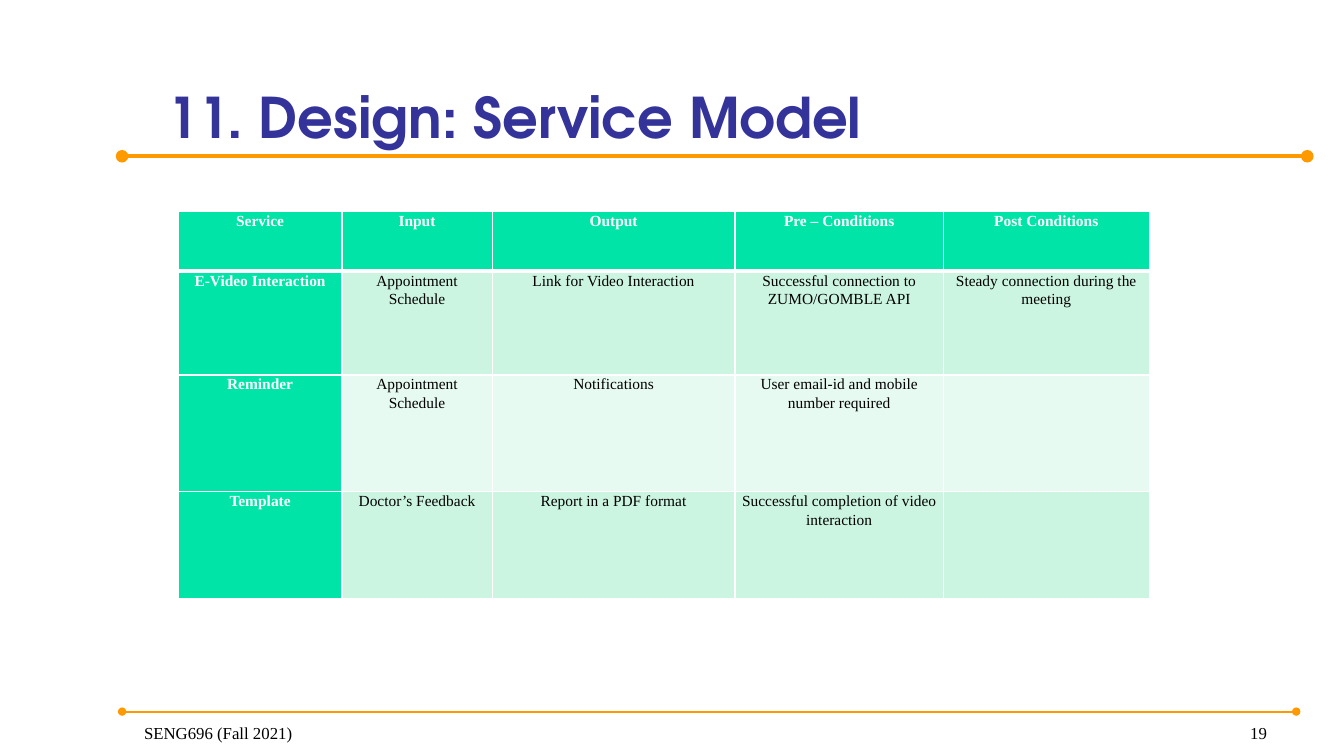
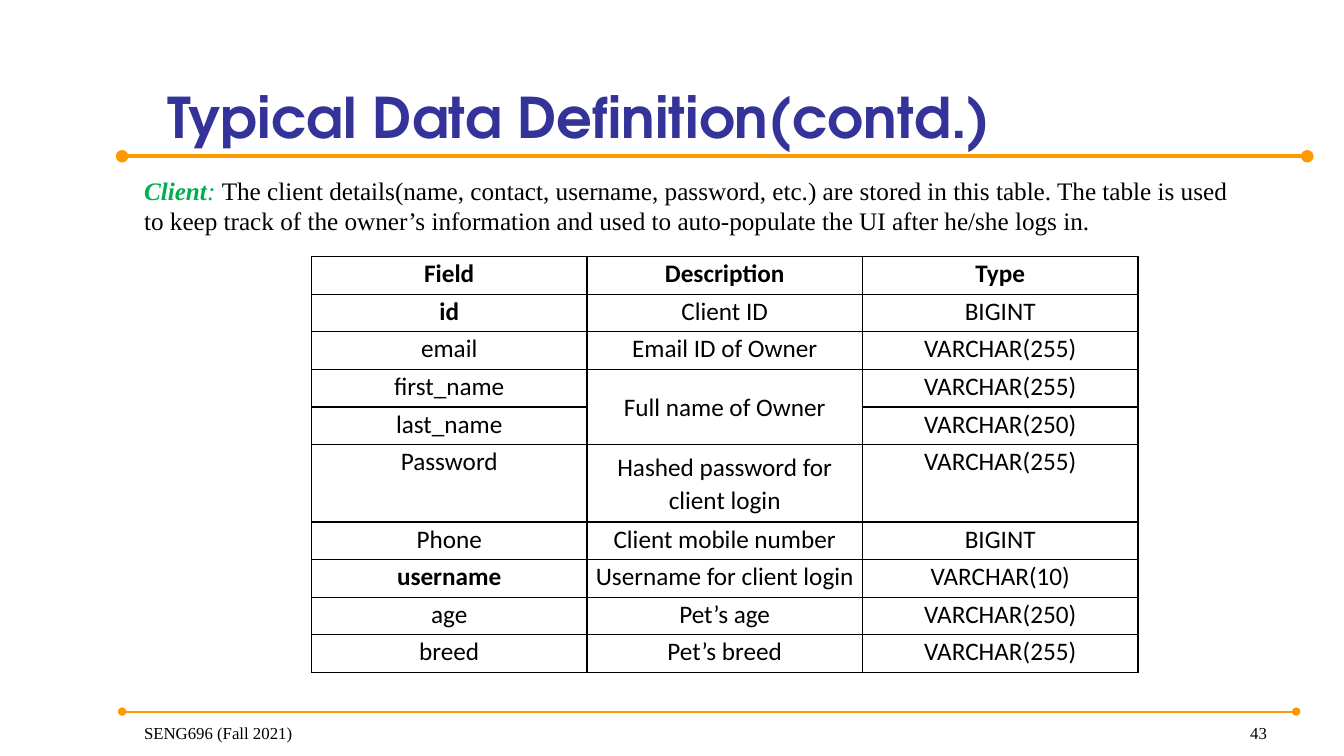
from dataclasses import dataclass

from lxml.etree import SubElement
from pptx import Presentation
from pptx.dml.color import RGBColor
from pptx.enum.shapes import MSO_CONNECTOR
from pptx.enum.text import MSO_ANCHOR as Anchor, MSO_AUTO_SIZE as AutoSize, PP_ALIGN as Align
from pptx.oxml import parse_xml
from pptx.oxml.ns import nsdecls, qn
from pptx.util import Pt


@dataclass(frozen=True)
class Theme:
    title_color: RGBColor = RGBColor.from_string("333399")
    rule: RGBColor = RGBColor.from_string("FF9900")
    term: RGBColor = RGBColor.from_string("00B050")
    ink: RGBColor = RGBColor.from_string("000000")
    paper: RGBColor = RGBColor.from_string("FFFFFF")
    header: RGBColor = RGBColor.from_string("00E4A8")
    band_dark: RGBColor = RGBColor.from_string("CCF5E1")
    band_light: RGBColor = RGBColor.from_string("E7FAF1")
    title_font: str = "TeX Gyre Adventor"
    body_font: str = "Times New Roman"
    data_font: str = "Calibri"
    title_size: int = 40
    body_size: int = 18
    footer_size: int = 12
    small_size: int = 11


@dataclass(frozen=True)
class CellStyle:
    color: RGBColor
    font: str
    size: int
    bold: bool = False
    fill: RGBColor | None = None
    anchor: Anchor = Anchor.TOP


class SlideBuilder:
    def __init__(self, theme):
        self.theme = theme
        self.deck = Presentation()
        self.deck.slide_width, self.deck.slide_height = Pt(960), Pt(540)
        self.page = None

    def new_page(self, title, number):
        self.page = self.deck.slides.add_slide(self.deck.slide_layouts[5])
        self.rule(87.2, 111.6, 933.8, 3)
        self.rule(87.2, 508.3, 925.9, 1.5)
        self.title(title)
        self.footer("SENG696 (Fall 2021)", 95.8, Align.LEFT)
        self.footer(str(number), 712.1, Align.RIGHT)

    def rule(self, left, top, right, width):
        line = self.page.shapes.add_connector(
            MSO_CONNECTOR.STRAIGHT, Pt(left), Pt(top), Pt(right), Pt(top))
        line.line.color.rgb = self.theme.rule
        line.line.width = Pt(width)
        properties = line.element.spPr
        for end in ("a:headEnd", "a:tailEnd"):
            SubElement(properties.find(qn("a:ln")), qn(end), type="oval")
        SubElement(properties, qn("a:effectLst"))

    def format_span(self, span, font, size, color, bold=False, italic=False):
        span.font.name, span.font.size = font, Pt(size)
        span.font.color.rgb = color
        span.font.bold, span.font.italic = bold, italic

    def title(self, text):
        theme, box = self.theme, self.page.shapes.title
        box.left, box.top, box.width, box.height = Pt(112.3), Pt(20.2), Pt(827.3), Pt(90)
        frame = box.text_frame
        frame.text = text
        frame.auto_size, frame.vertical_anchor = AutoSize.NONE, Anchor.BOTTOM
        para = frame.paragraphs[0]
        para.alignment = Align.LEFT
        self.format_span(para.runs[0], theme.title_font, theme.title_size,
                         theme.title_color, bold=True)

    def text_box(self, left, top, width, height):
        box = self.page.shapes.add_textbox(Pt(left), Pt(top), Pt(width), Pt(height))
        box.text_frame.word_wrap = True
        return box.text_frame

    def footer(self, text, left, alignment):
        theme = self.theme
        frame = self.text_box(left, 502.6, 200, 31.7)
        frame.text = text
        frame.vertical_anchor = Anchor.BOTTOM
        para = frame.paragraphs[0]
        para.alignment = alignment
        self.format_span(para.runs[0], theme.body_font, theme.footer_size, theme.ink)

    def definition(self, term, text):
        theme = self.theme
        frame = self.text_box(95.8, 121.7, 793.4, 51.1)
        frame.auto_size = AutoSize.SHAPE_TO_FIT_TEXT
        parts = ((term, theme.term, True, True),
                 (": ", theme.term, False, True),
                 (text, theme.ink, False, False))
        for words, color, bold, italic in parts:
            span = frame.paragraphs[0].add_run()
            span.text = words
            self.format_span(span, theme.body_font, theme.body_size, color, bold, italic)

    def table(self, left, top, widths, heights, rows, style_for, border, header_rule=1):
        frame = self.page.shapes.add_table(
            len(rows), len(widths), Pt(left), Pt(top), Pt(sum(widths)), Pt(sum(heights)))
        table = frame.table
        table.horz_banding = False
        for column, width in zip(table.columns, widths):
            column.width = Pt(width)
        for row, height in zip(table.rows, heights):
            row.height = Pt(height)
        for r, texts in enumerate(rows):
            for c, text in enumerate(texts):
                cell = table.cell(r, c)
                self.fill_cell(cell, text, style_for(r, c))
                self.cell_borders(cell, border, {
                    "L": 1, "R": 1,
                    "T": header_rule if r == 1 else 1,
                    "B": header_rule if r == 0 else 1})
        return table

    def fill_cell(self, cell, text, style):
        cell.margin_left = cell.margin_right = Pt(5)
        cell.margin_top = cell.margin_bottom = 0
        cell.vertical_anchor = style.anchor
        if style.fill is None:
            cell.fill.background()
        else:
            cell.fill.solid()
            cell.fill.fore_color.rgb = style.fill
        cell.text_frame.text = text
        para = cell.text_frame.paragraphs[0]
        para.alignment = Align.CENTER
        para.line_spacing, para.space_after = 1.07, Pt(8)
        for span in para.runs:
            self.format_span(span, style.font, style.size, style.color, style.bold)

    def cell_borders(self, cell, color, widths):
        properties = cell._tc.get_or_add_tcPr()
        for index, side in enumerate("LRTB"):
            properties.insert(index, parse_xml(
                f'<a:ln{side} {nsdecls("a")} w="{Pt(widths[side])}"><a:solidFill>'
                f'<a:srgbClr val="{color}"/></a:solidFill></a:ln{side}>'))


SERVICES = (
    ("Service", "Input", "Output", "Pre – Conditions", "Post Conditions"),
    ("E-Video Interaction", "Appointment Schedule", "Link for Video Interaction",
     "Successful connection to ZUMO/GOMBLE API", "Steady connection during the meeting"),
    ("Reminder", "Appointment Schedule", "Notifications",
     "User email-id and mobile number required", ""),
    ("Template", "Doctor’s Feedback", "Report in a PDF format",
     "Successful completion of video interaction", ""),
)

CLIENT_FIELDS = (
    ("Field", "Description", "Type"),
    ("id", "Client ID", "BIGINT"),
    ("email", "Email ID of Owner", "VARCHAR(255)"),
    ("first_name", "Full name of Owner", "VARCHAR(255)"),
    ("last_name", "", "VARCHAR(250)"),
    ("Password", "Hashed password for client login", "VARCHAR(255)"),
    ("Phone", "Client mobile number", "BIGINT"),
    ("username", "Username for client login", "VARCHAR(10)"),
    ("age", "Pet’s age", "VARCHAR(250)"),
    ("breed", "Pet’s breed", "VARCHAR(255)"),
)


def service_page(builder):
    theme = builder.theme

    def style_for(r, c):
        if r == 0 or c == 0:
            return CellStyle(theme.paper, theme.body_font, theme.small_size, True, theme.header)
        band = theme.band_dark if r % 2 else theme.band_light
        return CellStyle(theme.ink, theme.body_font, theme.small_size, fill=band)

    builder.new_page("11. Design: Service Model", 19)
    builder.table(127.4, 151.2, (116.9, 107.3, 173.5, 148.9, 146.9), (42.5, 74.2, 83.5, 76.5),
                  SERVICES, style_for, theme.paper, header_rule=3)


def client_page(builder):
    theme = builder.theme
    name_row, password_row = 3, 5

    def style_for(r, c):
        bold = r == 0 or CLIENT_FIELDS[r][c] in ("id", "username")
        middle = c == 1 and r in (name_row, password_row)
        return CellStyle(theme.ink, theme.data_font, theme.body_size, bold,
                         anchor=Anchor.MIDDLE if middle else Anchor.TOP)

    builder.new_page("Typical Data Definition(contd.)", 43)
    builder.definition(
        "Client",
        "The client details(name, contact, username, password, etc.) are stored in this table. "
        "The table is used to keep track of the owner’s information and used to auto-populate "
        "the UI after he/she logs in.")
    heights = [55.3 if r == password_row else 26.9 for r in range(len(CLIENT_FIELDS))]
    table = builder.table(222.5, 183.2, [196.8] * 3, heights,
                          CLIENT_FIELDS, style_for, theme.ink)
    table.cell(name_row, 1).merge(table.cell(name_row + 1, 1))


def main():
    builder = SlideBuilder(Theme())
    service_page(builder)
    client_page(builder)
    builder.deck.save("out.pptx")


if __name__ == "__main__":
    main()
